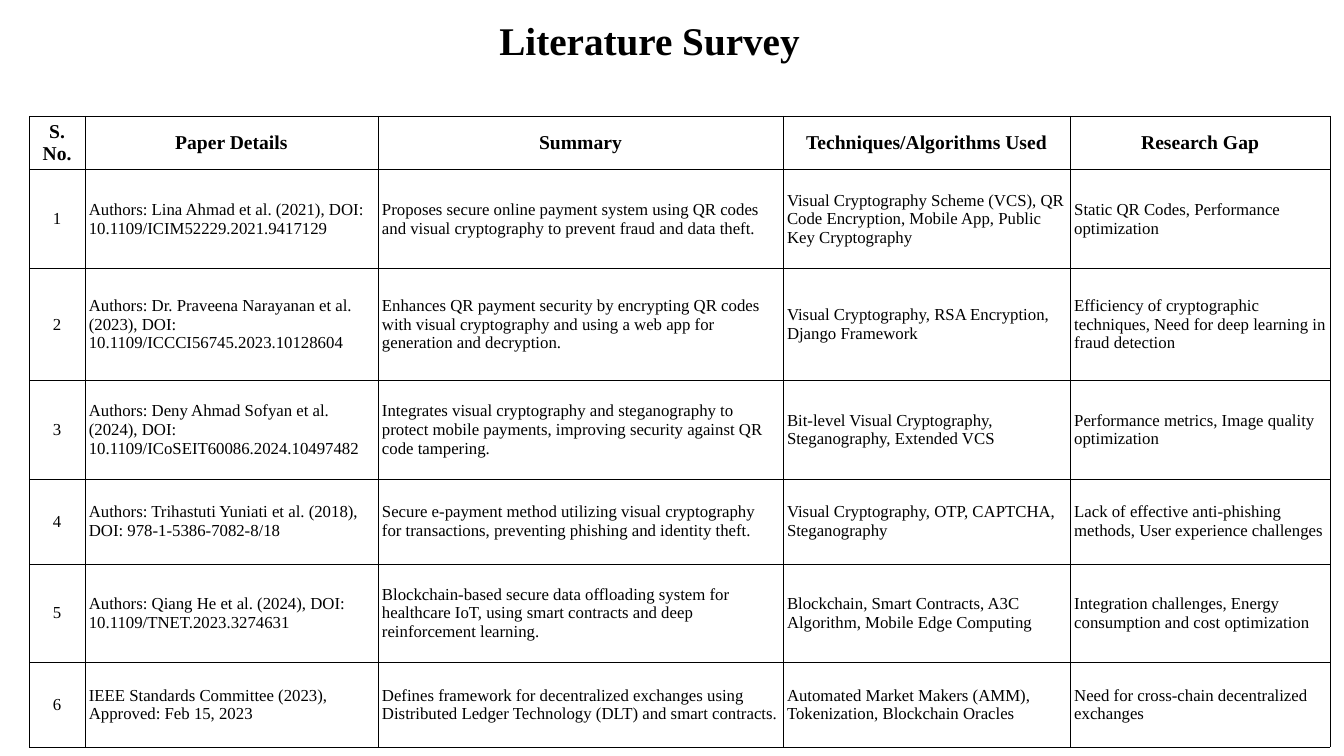
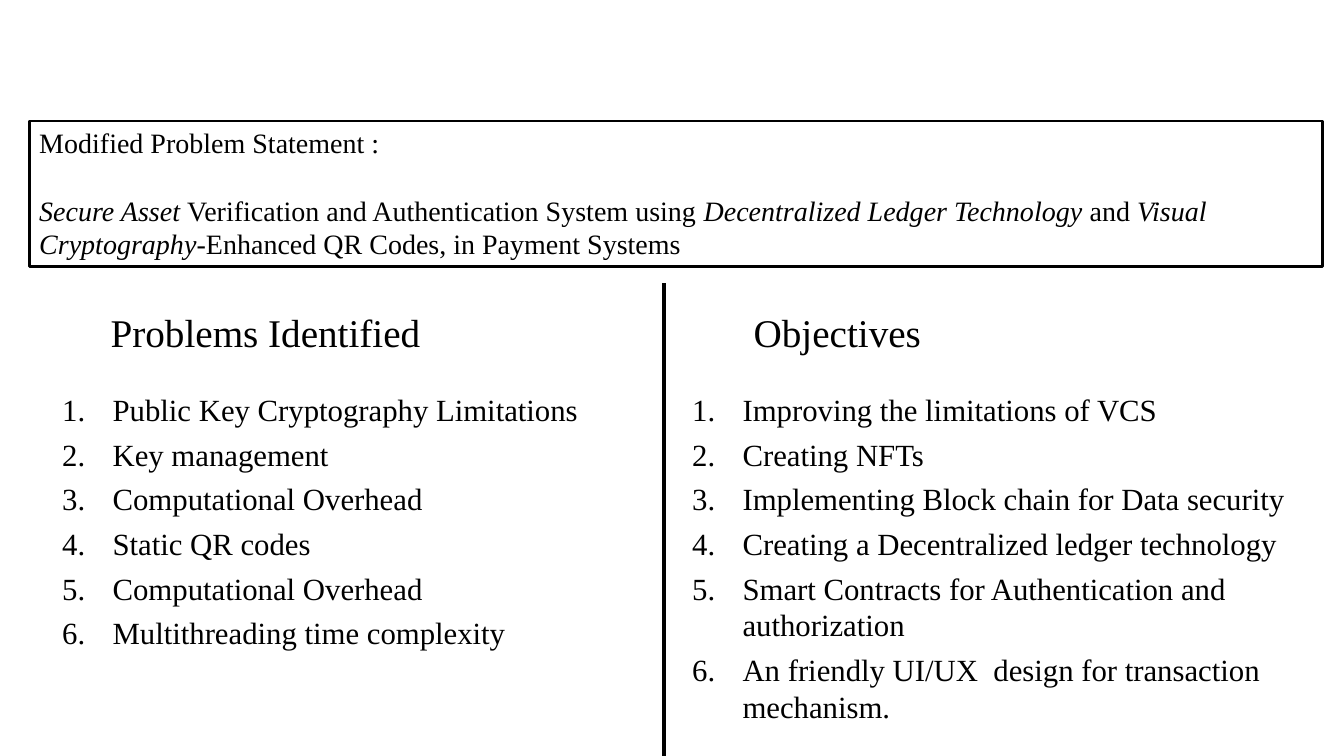
from lxml.etree import SubElement
from pptx import Presentation
from pptx.dml.color import RGBColor
from pptx.enum.shapes import MSO_CONNECTOR, MSO_SHAPE
from pptx.enum.text import MSO_ANCHOR, PP_ALIGN
from pptx.oxml.ns import qn
from pptx.util import Cm, Pt

FONT = "Times New Roman"
BLACK = "000000"
WHITE = "FFFFFF"
HEADING_SIZE = 28
LEFT_EDGE = 0.74


def add_run(paragraph, text, size, bold=False, italic=False):
    run = paragraph.add_run()
    run.text = text
    run.font.name = FONT
    run.font.size = Pt(size)
    run.font.bold = bold
    run.font.italic = italic
    run.font.color.rgb = RGBColor.from_string(BLACK)


def add_text_frame(slide, left, top, width, height):
    box = slide.shapes.add_textbox(Cm(left), Cm(top), Cm(width), Cm(height))
    box.text_frame.word_wrap = True
    return box.text_frame


presentation = Presentation()
presentation.slide_width = Cm(33.88)
presentation.slide_height = Cm(19.05)
blank_layout = presentation.slide_layouts[6]

survey_slide = presentation.slides.add_slide(blank_layout)

column_widths = [1.4, 7.39, 10.21, 7.24, 6.55]
row_heights = [1.27, 2.49, 2.82, 2.49, 2.13, 2.49, 2.13]
header = ["S. No.", "Paper Details", "Summary", "Techniques/Algorithms Used", "Research Gap"]
papers = [
    ["Authors: Lina Ahmad et al. (2021), DOI: 10.1109/ICIM52229.2021.9417129",
     "Proposes secure online payment system using QR codes and visual cryptography "
     "to prevent fraud and data theft.",
     "Visual Cryptography Scheme (VCS), QR Code Encryption, Mobile App, Public Key Cryptography",
     "Static QR Codes, Performance optimization"],
    ["Authors: Dr. Praveena Narayanan et al. (2023), DOI: 10.1109/ICCCI56745.2023.10128604",
     "Enhances QR payment security by encrypting QR codes with visual cryptography "
     "and using a web app for generation and decryption.",
     "Visual Cryptography, RSA Encryption, Django Framework",
     "Efficiency of cryptographic techniques, Need for deep learning in fraud detection"],
    ["Authors: Deny Ahmad Sofyan et al. (2024), DOI: 10.1109/ICoSEIT60086.2024.10497482",
     "Integrates visual cryptography and steganography to protect mobile payments, "
     "improving security against QR code tampering.",
     "Bit-level Visual Cryptography, Steganography, Extended VCS",
     "Performance metrics, Image quality optimization"],
    ["Authors: Trihastuti Yuniati et al. (2018), DOI: 978-1-5386-7082-8/18",
     "Secure e-payment method utilizing visual cryptography for transactions, "
     "preventing phishing and identity theft.",
     "Visual Cryptography, OTP, CAPTCHA, Steganography",
     "Lack of effective anti-phishing methods, User experience challenges"],
    ["Authors: Qiang He et al. (2024), DOI: 10.1109/TNET.2023.3274631",
     "Blockchain-based secure data offloading system for healthcare IoT, "
     "using smart contracts and deep reinforcement learning.",
     "Blockchain, Smart Contracts, A3C Algorithm, Mobile Edge Computing",
     "Integration challenges, Energy consumption and cost optimization"],
    ["IEEE Standards Committee (2023), Approved: Feb 15, 2023",
     "Defines framework for decentralized exchanges using Distributed Ledger Technology (DLT) "
     "and smart contracts.",
     "Automated Market Makers (AMM), Tokenization, Blockchain Oracles",
     "Need for cross-chain decentralized exchanges"],
]
survey_rows = [header] + [[str(number)] + paper for number, paper in enumerate(papers, 1)]

table = survey_slide.shapes.add_table(
    len(row_heights), len(column_widths), Cm(LEFT_EDGE), Cm(2.93),
    Cm(sum(column_widths)), Cm(sum(row_heights))).table
table.first_row = False
table.horz_banding = False
for column, width in zip(table.columns, column_widths):
    column.width = Cm(width)
for row, height in zip(table.rows, row_heights):
    row.height = Cm(height)

for row_index, texts in enumerate(survey_rows):
    is_header = row_index == 0
    for column_index, text in enumerate(texts):
        cell = table.cell(row_index, column_index)
        cell.margin_left = cell.margin_right = Cm(0.1)
        cell.vertical_anchor = MSO_ANCHOR.MIDDLE
        properties = cell._tc.get_or_add_tcPr()
        for side in ("a:lnL", "a:lnR", "a:lnT", "a:lnB"):
            border = SubElement(properties, qn(side), w=str(Pt(0.45)))
            border_fill = SubElement(border, qn("a:solidFill"))
            SubElement(border_fill, qn("a:srgbClr"), val=BLACK)
        cell.fill.background()
        paragraph = cell.text_frame.paragraphs[0]
        if is_header or column_index == 0:
            paragraph.alignment = PP_ALIGN.CENTER
        add_run(paragraph, text, 14 if is_header else 12, bold=is_header)

title_frame = add_text_frame(survey_slide, 12.34, 0.28, 9.2, 1.45)
add_run(title_frame.paragraphs[0], "Literature Survey", HEADING_SIZE, bold=True)

problem_slide = presentation.slides.add_slide(blank_layout)

statement_box = problem_slide.shapes.add_shape(
    MSO_SHAPE.RECTANGLE, Cm(LEFT_EDGE), Cm(3.05), Cm(32.61), Cm(3.66))
statement_box.shadow.inherit = False
statement_box.fill.solid()
statement_box.fill.fore_color.rgb = RGBColor.from_string(WHITE)
statement_box.line.color.rgb = RGBColor.from_string(BLACK)
statement_box.line.width = Pt(2)
statement_frame = statement_box.text_frame
statement_frame.word_wrap = True
statement_frame.vertical_anchor = MSO_ANCHOR.TOP

label = statement_frame.paragraphs[0]
label.alignment = PP_ALIGN.LEFT
add_run(label, "Modified Problem Statement :", 20)
statement = statement_frame.add_paragraph()
statement.alignment = PP_ALIGN.LEFT
statement.space_before = Pt(24)
for text, italic in [
    ("Secure Asset ", True),
    ("Verification and Authentication System using ", False),
    ("Decentralized Ledger Technology ", True),
    ("and ", False),
    ("Visual Cryptography", True),
    ("-Enhanced QR Codes, in Payment Systems", False),
]:
    add_run(statement, text, 20, italic=italic)

divider = problem_slide.shapes.add_connector(
    MSO_CONNECTOR.STRAIGHT, Cm(16.74), Cm(7.14), Cm(16.74), Cm(19.05))
divider.line.color.rgb = RGBColor.from_string(BLACK)
divider.line.width = Pt(3)
SubElement(divider._element.spPr, qn("a:effectLst"))

lists = [
    ("Problems Identified", 2.54, 8.8, 1.32, 14.8, [
        "Public Key Cryptography Limitations",
        "Key management",
        "Computational Overhead",
        "Static QR codes",
        "Computational Overhead",
        "Multithreading time complexity",
    ]),
    ("Objectives", 18.75, 4.9, 17.2, 16.4, [
        "Improving the limitations of VCS",
        "Creating NFTs",
        "Implementing Block chain for Data security",
        "Creating a Decentralized ledger technology",
        "Smart Contracts for Authentication and authorization",
        "An friendly UI/UX  design for transaction mechanism.",
    ]),
]
for heading, heading_left, heading_width, list_left, list_width, items in lists:
    heading_frame = add_text_frame(problem_slide, heading_left, 7.65, heading_width, 1.45)
    add_run(heading_frame.paragraphs[0], heading, HEADING_SIZE)

    list_frame = add_text_frame(problem_slide, list_left, 9.72, list_width, 9)
    for index, item in enumerate(items):
        paragraph = list_frame.add_paragraph() if index else list_frame.paragraphs[0]
        properties = paragraph._p.get_or_add_pPr()
        properties.set("marL", str(Cm(1.27)))
        properties.set("indent", str(-Cm(1.27)))
        bullet_color = SubElement(properties, qn("a:buClr"))
        SubElement(bullet_color, qn("a:srgbClr"), val=BLACK)
        SubElement(properties, qn("a:buFont"), typeface=FONT)
        SubElement(properties, qn("a:buAutoNum"), type="arabicPeriod")
        if index:
            paragraph.space_before = Pt(5.5)
        add_run(paragraph, item, 22)

presentation.save("out.pptx")
